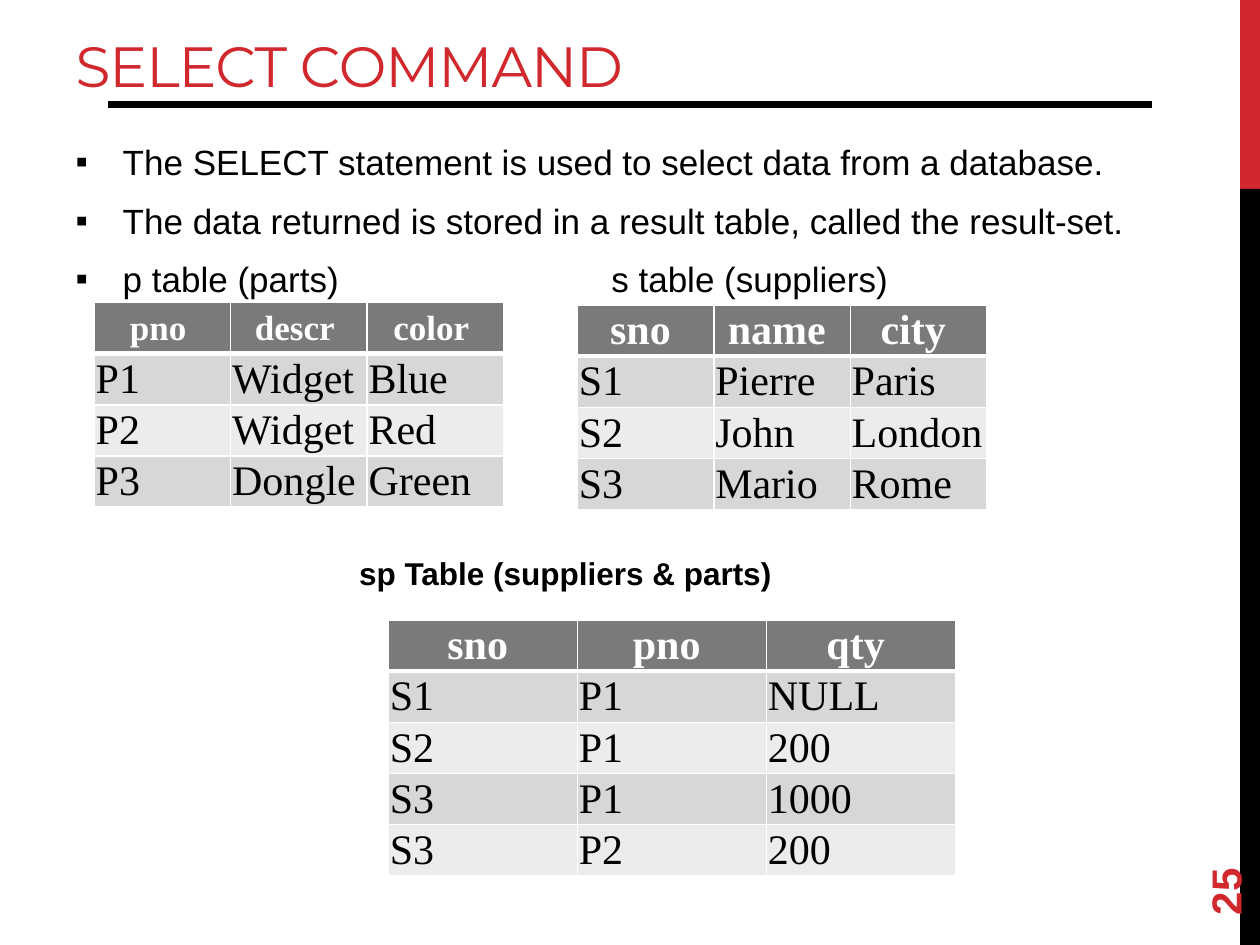
"""Build the SELECT command slide with its three example tables."""
import pptx
import pptx.dml.color
import pptx.enum.shapes
import pptx.enum.text
import pptx.oxml
import pptx.oxml.ns
import pptx.util
from lxml import etree

Cm = pptx.util.Cm
Pt = pptx.util.Pt
RED = pptx.dml.color.RGBColor(0xD1, 0x28, 0x2E)
BLACK = pptx.dml.color.RGBColor(0, 0, 0)
WHITE = pptx.dml.color.RGBColor(0xFF, 0xFF, 0xFF)
HEADER_GRAY = pptx.dml.color.RGBColor(0x7A, 0x7A, 0x7A)
BAND_GRAYS = [
    pptx.dml.color.RGBColor(0xD7, 0xD7, 0xD7),
    pptx.dml.color.RGBColor(0xEC, 0xEC, 0xEC),
]
ROW_HEIGHT = 1.03
SIDE_MARGIN = Cm(0.03)


def set_font(paragraph, name, size, color, bold=False):
    paragraph.font.name = name
    paragraph.font.size = Pt(size)
    paragraph.font.color.rgb = color
    paragraph.font.bold = bold


def add_border(cell, side, width):
    border = etree.SubElement(
        cell._tc.get_or_add_tcPr(), pptx.oxml.ns.qn(f"a:ln{side}"), w=str(Pt(width))
    )
    fill = etree.SubElement(border, pptx.oxml.ns.qn("a:solidFill"))
    etree.SubElement(fill, pptx.oxml.ns.qn("a:srgbClr"), val=str(WHITE))


deck = pptx.Presentation()
deck.slide_width = Cm(25.4)
deck.slide_height = Cm(19.05)
page = deck.slides.add_slide(deck.slide_layouts[1])

for top, height, color in [(0, 3.81, RED), (3.81, 15.24, BLACK)]:
    side_bar = page.shapes.add_shape(
        pptx.enum.shapes.MSO_SHAPE.RECTANGLE, Cm(25), Cm(top), Cm(0.4), Cm(height)
    )
    side_bar.shadow.inherit = False
    side_bar.fill.solid()
    side_bar.fill.fore_color.rgb = color
    side_bar.line.fill.background()

title_rule = page.shapes.add_connector(
    pptx.enum.shapes.MSO_CONNECTOR.STRAIGHT, Cm(2.18), Cm(2.11), Cm(23.22), Cm(2.11)
)
title_rule.line.color.rgb = BLACK
title_rule.line.width = Pt(4)
etree.SubElement(title_rule._element.spPr, pptx.oxml.ns.qn("a:effectLst"))

title = page.shapes.title
title.left, title.top, title.width, title.height = Cm(1.27), Cm(0.43), Cm(23.7), Cm(1.7)
title.text_frame.auto_size = pptx.enum.text.MSO_AUTO_SIZE.NONE
title.text_frame.vertical_anchor = pptx.enum.text.MSO_ANCHOR.BOTTOM
title_para = title.text_frame.paragraphs[0]
title_para.alignment = pptx.enum.text.PP_ALIGN.LEFT
set_font(title_para, "Montserrat", 32.4, RED)
title_span = title_para.add_run()
title_span.text = "SELECT COMMAND"
title_span._r.get_or_add_rPr().set("spc", "-60")

body = page.placeholders[1]
body.left, body.top, body.width, body.height = Cm(1.27), Cm(2.7), Cm(22.86), Cm(14.27)
body.text_frame.auto_size = pptx.enum.text.MSO_AUTO_SIZE.NONE
body.text_frame.text = "\n".join([
    "The SELECT statement is used to select data from a database.",
    "The data returned is stored in a result table, called the result-set.",
    "p table (parts)\ts table (suppliers)",
])
for para in body.text_frame.paragraphs:
    para.space_before = para.space_after = Pt(4.8)
    para.line_spacing = 1.0
    set_font(para, "Arial", 20, BLACK)
    properties = para._p.get_or_add_pPr()
    properties.set("marL", str(Cm(0.95)))
    properties.set("indent", str(Cm(-0.95)))
    bullet = pptx.oxml.parse_xml(
        f'<a:buChar {pptx.oxml.ns.nsdecls("a")} char="▪"/>'
    )
    tabs = pptx.oxml.parse_xml(
        f'<a:tabLst {pptx.oxml.ns.nsdecls("a")}><a:tab pos="{Cm(10.8)}" algn="l"/></a:tabLst>'
    )
    default_font = properties.find(pptx.oxml.ns.qn("a:defRPr"))
    default_font.addprevious(bullet)
    default_font.addprevious(tabs)

number_box = page.shapes.add_textbox(Cm(22.86), Cm(16.36), Cm(3.66), Cm(1.02))
number_box.rotation = 270
number_box.text_frame.word_wrap = True
number_box.text_frame.vertical_anchor = pptx.enum.text.MSO_ANCHOR.MIDDLE
number_box.text_frame.text = "25"
set_font(number_box.text_frame.paragraphs[0], "Arial", 24, RED, True)

tables = [
    (1.9, 6.1, 2.75, 20, [
        ["pno ", "descr ", "color "],
        ["P1", "Widget", "Blue"],
        ["P2", "Widget", "Red"],
        ["P3", "Dongle", "Green"],
    ]),
    (11.64, 6.15, 2.75, 24, [
        ["sno ", "name ", "city "],
        ["S1", "Pierre", "Paris"],
        ["S2", "John", "London"],
        ["S3", "Mario", "Rome"],
    ]),
    (7.83, 12.5, 3.81, 24, [
        ["sno ", "pno ", "qty "],
        ["S1", "P1", "NULL"],
        ["S2", "P1", "200"],
        ["S3", "P1", "1000"],
        ["S3", "P2", "200"],
    ]),
]
for left, top, column_width, header_size, rows in tables:
    table = page.shapes.add_table(
        len(rows), 3, Cm(left), Cm(top), Cm(3 * column_width), Cm(len(rows) * ROW_HEIGHT)
    ).table
    for row_index, row in enumerate(rows):
        is_header = row_index == 0
        for column_index, text in enumerate(row):
            cell = table.cell(row_index, column_index)
            cell.margin_left = cell.margin_right = SIDE_MARGIN
            cell.margin_top = cell.margin_bottom = Cm(0)
            cell.vertical_anchor = pptx.enum.text.MSO_ANCHOR.MIDDLE
            add_border(cell, "L", 1)
            add_border(cell, "R", 1)
            add_border(cell, "T", 3 if row_index == 1 else 1)
            add_border(cell, "B", 3 if is_header else 1)
            cell.fill.solid()
            cell.fill.fore_color.rgb = HEADER_GRAY if is_header else BAND_GRAYS[(row_index - 1) % 2]
            cell.text = text
            para = cell.text_frame.paragraphs[0]
            if is_header:
                para.alignment = pptx.enum.text.PP_ALIGN.CENTER
                set_font(para, "Times New Roman", header_size, WHITE, True)
            else:
                set_font(para, "Times New Roman", 24, BLACK)

caption_box = page.shapes.add_textbox(Cm(6.99), Cm(11.05), Cm(10.8), Cm(1.02))
caption_box.text_frame.word_wrap = True
caption_box.text_frame.auto_size = pptx.enum.text.MSO_AUTO_SIZE.SHAPE_TO_FIT_TEXT
caption_box.text_frame.text = "sp Table (suppliers & parts)"
set_font(caption_box.text_frame.paragraphs[0], "Arial", 18, BLACK, True)

deck.save("out.pptx")
